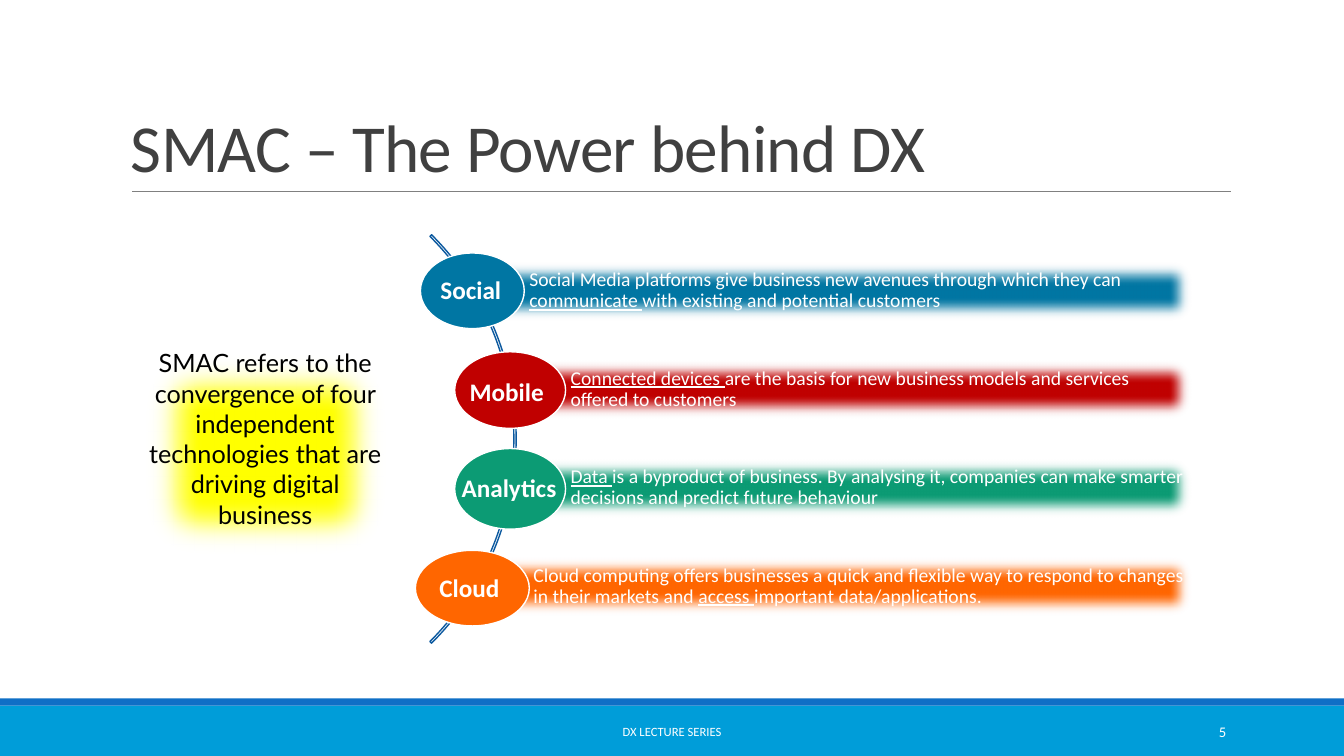
import pptx
import pptx.util
import pptx.dml.color
import pptx.enum.shapes
import pptx.enum.text
import lxml.etree

Inches, Pt = pptx.util.Inches, pptx.util.Pt
SHAPE = pptx.enum.shapes.MSO_SHAPE
ALIGN = pptx.enum.text.PP_ALIGN
ANCHOR = pptx.enum.text.MSO_ANCHOR
A = "{http://schemas.openxmlformats.org/drawingml/2006/main}"

prs = pptx.Presentation()
prs.slide_width, prs.slide_height = Inches(13.33), Inches(7.5)
s = prs.slides.add_slide(prs.slide_layouts[6])


def add(text="", at=None, kind=None, fill=None, line=None, soft=0, size=18,
        color="FFFFFF", font="Calibri", bold=False, align=ALIGN.LEFT,
        anchor=ANCHOR.TOP, spacing=None, insets=(0.1, 0.05, 0.1, 0.05)):
    """Add a shape, or a text box without kind; *stars* underline, soft is the edge blur in points."""
    rgb = pptx.dml.color.RGBColor.from_string
    box = [Inches(v) for v in at]
    if kind is None:
        sp = s.shapes.add_textbox(*box)
    else:
        sp = s.shapes.add_shape(kind, *box)
        sp.shadow.inherit = False
        if fill:
            sp.fill.solid()
            sp.fill.fore_color.rgb = rgb(fill)
        else:
            sp.fill.background()
        if line:
            sp.line.color.rgb = rgb(line)
            sp.line.width = Pt(1)
        else:
            sp.line.fill.background()
    if soft:
        effects = sp._element.spPr.find(A + "effectLst")
        lxml.etree.SubElement(effects, A + "softEdge", rad=str(Pt(soft)))
    if not text:
        return sp
    tf = sp.text_frame
    tf.word_wrap = True
    tf.vertical_anchor = anchor
    tf.margin_left, tf.margin_top, tf.margin_right, tf.margin_bottom = [Inches(v) for v in insets]
    p = tf.paragraphs[0]
    p.alignment = align
    if spacing:
        p.line_spacing = spacing
    for row, words in enumerate(text.split("\n")):
        if row:
            p.add_line_break()
        for i, part in enumerate(words.split("*")):
            if part:
                r = p.add_run()
                r.text = part
                r.font.name, r.font.size, r.font.bold = font, Pt(size), bold
                r.font.color.rgb = rgb(color)
                if i % 2:
                    r.font.underline = True
    return sp


# Slide frame
add(at=(0, 7, 13.33, 0.5), kind=SHAPE.RECTANGLE, fill="009DD9")
add(at=(0, 6.93, 13.33, 0.07), kind=SHAPE.RECTANGLE, fill="0F6FC6")
rule = s.shapes.add_connector(pptx.enum.shapes.MSO_CONNECTOR.STRAIGHT,
                              Inches(1.31), Inches(1.9), Inches(12.21), Inches(1.9))
rule.line.color.rgb = pptx.dml.color.RGBColor.from_string("808080")
rule.line.width = Pt(0.5)
lxml.etree.SubElement(rule._element.spPr, A + "effectLst")

title = add("SMAC – The Power behind DX", (1.2, 0.31, 11, 1.59), size=48,
            color="404040", anchor=ANCHOR.BOTTOM, spacing=0.85)
title.text_frame.paragraphs[0].runs[0].font._element.set("spc", "-50")
add("DX LECTURE SERIES", (4.03, 7.06, 5.27, 0.4), size=9,
    align=ALIGN.CENTER, anchor=ANCHOR.MIDDLE)
add("5", (10.83, 7.06, 1.43, 0.4), size=10.5, align=ALIGN.RIGHT, anchor=ANCHOR.MIDDLE)

# Arc behind the four technologies
arc = add(at=(-0.61, 1.49, 5.73, 5.73), kind=SHAPE.BLOCK_ARC, line="0C599F")
for i, value in enumerate((189, 27, 0.004)):
    arc.adjustments[i] = value

# Name, colour, bar left, text indent, ellipse box, label box, description
technologies = [
    ("Social", "0076A3", 4.69, 0.56, (4.17, 2.51, 1.03, 0.75), (4.27, 2.67, 0.97, 0.4),
     "Social Media platforms give business new avenues through which they can\n"
     "*communicate *with existing and potential customers"),
    ("Mobile", "C00000", 5.06, 0.6, (4.51, 3.49, 1.1, 0.76), (4.56, 3.68, 0.97, 0.4),
     "*Connected devices *are the basis for new business models and services\n"
     "offered to customers"),
    ("Analytics", "0C9B74", 5.06, 0.6, (4.51, 4.45, 1.1, 0.8), (4.48, 4.64, 1.22, 0.4),
     "*Data *is a byproduct of business. By analysing it, companies can make smarter\n"
     "decisions and predict future behaviour"),
    ("Cloud", "FF6600", 4.69, 0.6, (4.12, 5.46, 1.13, 0.75), (4.26, 5.63, 1.13, 0.4),
     "Cloud computing offers businesses a quick and flexible way to respond to changes\n"
     "in their markets and *access *important data/applications."),
]
bar_right, bar_top, bar_pitch = 11.85, 2.56, 0.977
for i, (name, color, left, indent, ellipse, label, description) in enumerate(technologies):
    add(description, (left, bar_top + i * bar_pitch, bar_right - left, 0.65),
        kind=SHAPE.RECTANGLE, fill=color, line="FFFFFF", soft=10, size=14,
        anchor=ANCHOR.MIDDLE, spacing=0.9, insets=(indent, 0.04, 0.04, 0.04))
    add(at=ellipse, kind=SHAPE.OVAL, fill=color, line="FFFFFF")
    add(name, label, bold=True)

add("SMAC refers to the convergence of four independent technologies that are "
    "driving digital business", (1.32, 3.4, 2.62, 2.22), kind=SHAPE.RECTANGLE,
    fill="FFFF00", soft=25, color="000000", font="Lato", align=ALIGN.CENTER)

prs.save("out.pptx")
